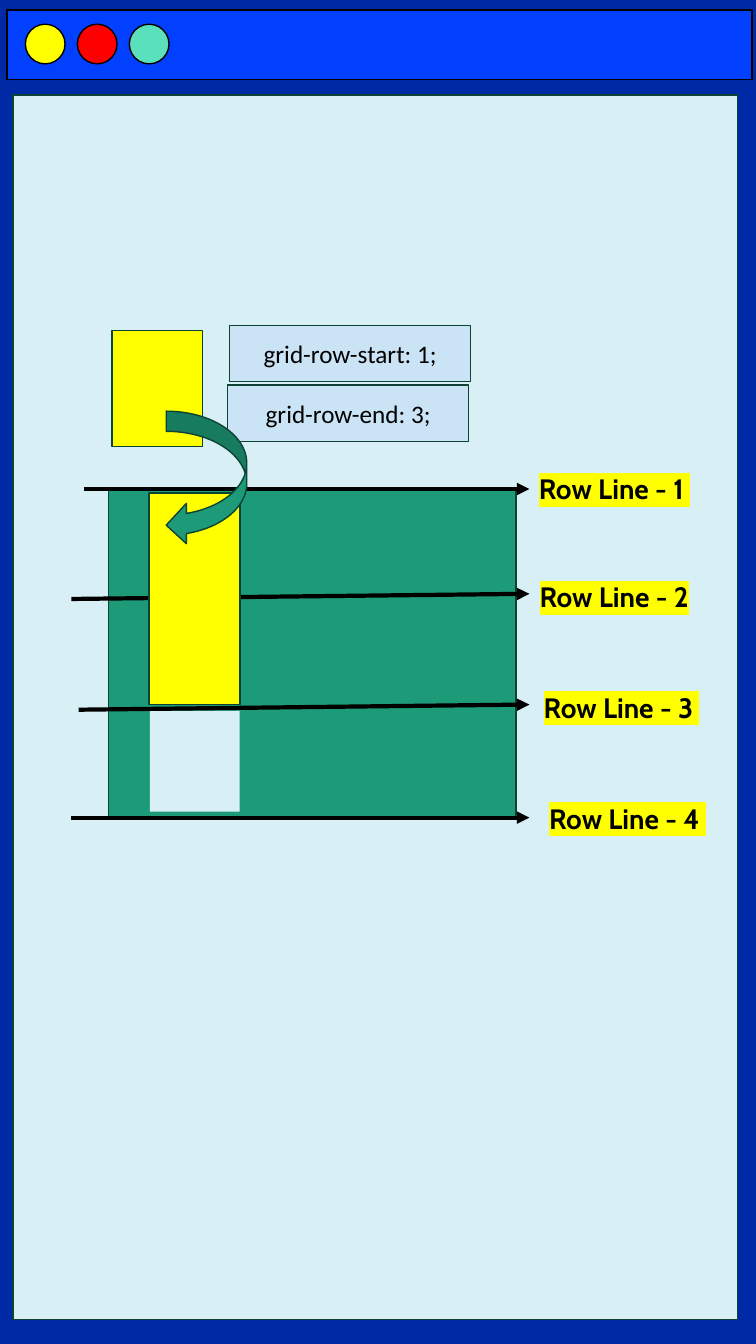
from pptx import Presentation
from pptx.dml.color import RGBColor
from pptx.enum.shapes import MSO_CONNECTOR, MSO_SHAPE
from pptx.enum.text import MSO_ANCHOR, PP_ALIGN
from pptx.oxml.ns import qn
from pptx.util import Cm, Pt
from lxml import etree

NAVY = RGBColor(0x00, 0x29, 0xA6)
BLUE = RGBColor(0x02, 0x40, 0xFF)
PALE = RGBColor(0xD7, 0xEF, 0xF5)
SKY = RGBColor(0xCA, 0xE4, 0xF6)
GREEN = RGBColor(0x1D, 0x9A, 0x78)
DARK_GREEN = RGBColor(0x0D, 0x43, 0x35)
MINT = RGBColor(0x5A, 0xE0, 0xBB)
YELLOW = RGBColor(0xFF, 0xFF, 0x00)
RED = RGBColor(0xFF, 0x00, 0x00)
BLACK = RGBColor(0x00, 0x00, 0x00)

RECTANGLE = MSO_SHAPE.RECTANGLE
OVAL = MSO_SHAPE.OVAL
CURVED_ARROW = MSO_SHAPE.CURVED_RIGHT_ARROW
STRAIGHT = MSO_CONNECTOR.STRAIGHT
MIDDLE = MSO_ANCHOR.MIDDLE
CENTER = PP_ALIGN.CENTER

CODE_FONT = {"name": "Calibri", "size": Pt(18)}
LABEL_FONT = {"name": "Cabin", "size": Pt(20), "bold": True}

deck = Presentation()
deck.slide_width, deck.slide_height = Cm(19.05), Cm(33.86)
page = deck.slides.add_slide(deck.slide_layouts[6])
page.background.fill.solid()
page.background.fill.fore_color.rgb = NAVY


def add_block(kind, left, top, width, height, fill, outline=DARK_GREEN):
    """Add a filled shape, placed in centimetres; outline None means no line."""
    block = page.shapes.add_shape(kind, Cm(left), Cm(top), Cm(width), Cm(height))
    block.shadow.inherit = False
    block.fill.solid()
    block.fill.fore_color.rgb = fill
    if outline is None:
        block.line.fill.background()
    else:
        block.line.color.rgb = outline
        block.line.width = Pt(1)
    return block


def write_centered(box, text, font_values):
    """Put one centred black line of text in the box and return its run."""
    frame = box.text_frame
    frame.word_wrap = True
    frame.vertical_anchor = MIDDLE
    para = frame.paragraphs[0]
    para.alignment = CENTER
    span = para.add_run()
    span.text = text
    span.font.color.rgb = BLACK
    for name, value in font_values.items():
        setattr(span.font, name, value)
    return span


# Window frame
add_block(RECTANGLE, 0.18, 0.25, 18.77, 1.75, BLUE, BLACK)
for index, color in enumerate((YELLOW, RED, MINT)):
    add_block(OVAL, 0.64 + 1.31 * index, 0.61, 1, 1, color, BLACK)
add_block(RECTANGLE, 0.33, 2.39, 18.26, 30.86, PALE)

# Grid container with three cells
add_block(RECTANGLE, 2.74, 12.32, 10.26, 8.28, GREEN)
for row in range(3):
    add_block(RECTANGLE, 3.78, 12.42 + 2.745 * row, 2.26, 2.54, PALE, None)

# Row lines: start x, start y, end y, label left, label top, label width
row_lines = [
    (2.11, 12.32, 12.32, 13.21, 11.76, 4.55),
    (1.80, 15.09, 14.96, 13.28, 14.48, 4.39),
    (1.98, 17.88, 17.75, 13.39, 17.27, 4.55),
    (1.80, 20.60, 20.60, 13.54, 20.07, 4.55),
]
for number, (start_x, start_y, end_y, left, top, width) in enumerate(row_lines, 1):
    arrow = page.shapes.add_connector(
        STRAIGHT, Cm(start_x), Cm(start_y), Cm(13.34), Cm(end_y))
    arrow.line.color.rgb = BLACK
    arrow.line.width = Pt(3)
    etree.SubElement(arrow.line._get_or_add_ln(), qn("a:tailEnd"), type="triangle")
    etree.SubElement(arrow._element.spPr, qn("a:effectLst"))

    label = page.shapes.add_textbox(Cm(left), Cm(top), Cm(width), Cm(1.09))
    span = write_centered(label, f"Row Line - {number} ", LABEL_FONT)
    highlight = etree.Element(qn("a:highlight"))
    etree.SubElement(highlight, qn("a:srgbClr"), val=str(YELLOW))
    span._r.rPr.find(qn("a:solidFill")).addnext(highlight)

# Item spanning two rows, and the rules that place it
add_block(RECTANGLE, 3.76, 12.42, 2.29, 5.33, YELLOW)
for text, left, top in (("grid-row-start: 1;", 5.79, 8.2),
                        ("grid-row-end: 3;", 5.74, 9.7)):
    rule = add_block(RECTANGLE, left, top, 6.07, 1.42, SKY)
    write_centered(rule, text, CODE_FONT)
add_block(RECTANGLE, 2.82, 8.33, 2.29, 2.92, YELLOW)
move_arrow = add_block(CURVED_ARROW, 4.19, 10.36, 2.03, 3.38, GREEN)
move_arrow._element.spPr.find(qn("a:xfrm")).set("flipH", "1")

deck.save("out.pptx")
